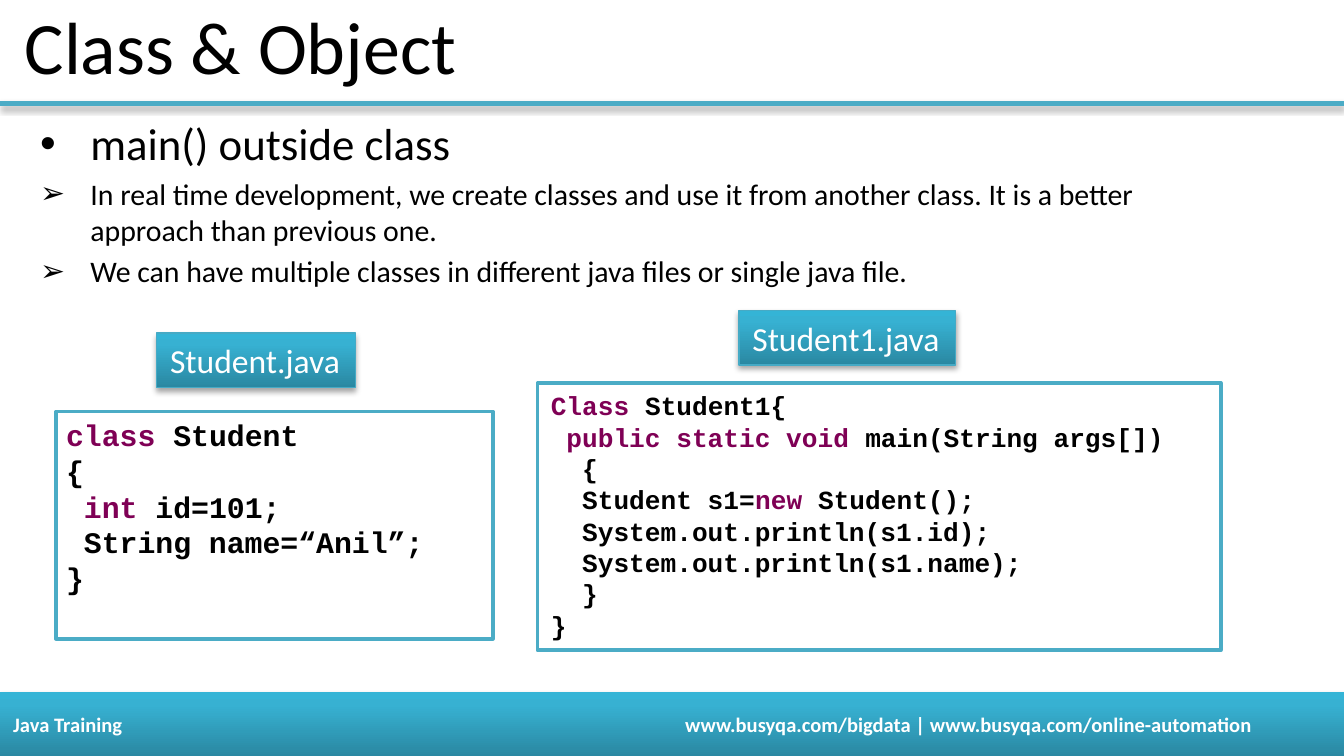
"""Build the "Class & Object" slide of a Java training deck."""
from copy import deepcopy

from lxml.etree import SubElement
from pptx import Presentation
from pptx.dml.color import RGBColor
from pptx.enum.shapes import MSO_CONNECTOR, MSO_SHAPE
from pptx.enum.text import MSO_ANCHOR as Anchor, PP_ALIGN as Align
from pptx.oxml.ns import qn
from pptx.util import Pt


def color(hex_code):
    return RGBColor.from_string(hex_code)


class SlideBuilder:
    BODY_FONT, CODE_FONT = "Calibri", "Courier New"
    BLACK, WHITE, ACCENT, EDGE, KEYWORD = "000000", "FFFFFF", "4BACC6", "46AAC5", "7F0055"
    GRADIENT = [(0, "2A88A2"), (0.8, "37B1D2"), (1, "34B4D6")]
    KEYWORDS = {"class", "Class", "int", "public static void", "new"}

    def __init__(self, deck):
        self.slide = deck.slides.add_slide(deck.slide_layouts[5])

    def add_run(self, paragraph, text, size, tint=BLACK, bold=False, face=BODY_FONT):
        run = paragraph.add_run()
        run.text = text
        font = run.font
        font.name, font.size, font.bold = face, Pt(size), bold
        font.color.rgb = color(tint)

    def add_shadow(self, element):
        effects = element.spPr.find(qn("a:effectLst"))
        if effects is None:
            effects = SubElement(element.spPr, qn("a:effectLst"))
        shadow = SubElement(effects, qn("a:outerShdw"), blurRad=str(Pt(3.1)),
                            dist=str(Pt(1.8)), dir="5400000", rotWithShape="0")
        tone = SubElement(shadow, qn("a:srgbClr"), val=self.BLACK)
        SubElement(tone, qn("a:alpha"), val="35000")

    def panel(self, left, top, width, height):
        shape = self.slide.shapes.add_shape(
            MSO_SHAPE.RECTANGLE, Pt(left), Pt(top), Pt(width), Pt(height))
        shape.shadow.inherit = False
        shape.text_frame.word_wrap = True
        shape.text_frame.paragraphs[0].alignment = Align.LEFT
        return shape

    def gradient_panel(self, *box):
        shape = self.panel(*box)
        shape.fill.gradient()
        shape.fill.gradient_angle = 90
        stop_list = shape._element.spPr.find(".//" + qn("a:gsLst"))
        stop_list.append(deepcopy(stop_list[-1]))
        for stop, (position, tint) in zip(shape.fill.gradient_stops, self.GRADIENT):
            stop.position = position
            stop.color.rgb = color(tint)
        self.add_shadow(shape._element)
        return shape

    def rule(self, y, width):
        line = self.slide.shapes.add_connector(
            MSO_CONNECTOR.STRAIGHT, Pt(0), Pt(y), Pt(width), Pt(y))
        line.line.color.rgb = color(self.ACCENT)
        line.line.width = Pt(3)
        self.add_shadow(line._element)

    def footer(self, course, links, *box):
        band = self.gradient_panel(*box)
        band.line.fill.background()
        band.text_frame.vertical_anchor = Anchor.MIDDLE
        paragraph = band.text_frame.paragraphs[0]
        tabs = SubElement(paragraph._p.get_or_add_pPr(), qn("a:tabLst"))
        SubElement(tabs, qn("a:tab"), pos=str(Pt(360)), algn="l")
        self.add_run(paragraph, f"{course}\t{links}", 11, self.WHITE, True)

    def title(self, text, left, top, width, height):
        heading = self.slide.shapes.title
        heading.left, heading.top = Pt(left), Pt(top)
        heading.width, heading.height = Pt(width), Pt(height)
        heading.text_frame.vertical_anchor = Anchor.MIDDLE
        paragraph = heading.text_frame.paragraphs[0]
        paragraph.alignment = Align.LEFT
        self.add_run(paragraph, text, 39.6)

    def bullets(self, points, left, top, width, height):
        frame = self.slide.shapes.add_textbox(
            Pt(left), Pt(top), Pt(width), Pt(height)).text_frame
        frame.word_wrap = True
        for index, (marker, size, text) in enumerate(points):
            paragraph = frame.add_paragraph() if index else frame.paragraphs[0]
            properties = paragraph._p.get_or_add_pPr()
            properties.set("marL", str(Pt(27)))
            properties.set("indent", str(Pt(-27)))
            SubElement(properties, qn("a:buFont"), typeface="Arial")
            SubElement(properties, qn("a:buChar"), char=marker)
            if index:
                paragraph.space_before = Pt(size * 0.2)
            self.add_run(paragraph, text, size)

    def code(self, lines, size, inset, *box):
        listing = self.panel(*box)
        listing.fill.solid()
        listing.fill.fore_color.rgb = color(self.WHITE)
        listing.line.color.rgb = color(self.ACCENT)
        listing.line.width = Pt(2)
        frame = listing.text_frame
        frame.vertical_anchor = Anchor.TOP
        frame.margin_left = frame.margin_right = Pt(inset)
        frame.margin_top = frame.margin_bottom = Pt(inset / 2)
        for index, pieces in enumerate(lines):
            paragraph = frame.add_paragraph() if index else frame.paragraphs[0]
            paragraph.alignment = Align.LEFT
            for piece in pieces:
                tint = self.KEYWORD if piece in self.KEYWORDS else self.BLACK
                self.add_run(paragraph, piece, size, tint, True, self.CODE_FONT)

    def file_tag(self, name, *box):
        tag = self.gradient_panel(*box)
        tag.line.color.rgb = color(self.EDGE)
        tag.line.width = Pt(0.75)
        tag.text_frame.word_wrap = False
        tag.text_frame.vertical_anchor = Anchor.TOP
        self.add_run(tag.text_frame.paragraphs[0], name, 18, self.WHITE)


POINTS = [
    ("•", 24, "main() outside class"),
    ("➢", 16, "In real time development, we create classes and use it from another class. "
              "It is a better approach than previous one."),
    ("➢", 16, "We can have multiple classes in different java files or single java file."),
]
STUDENT = [
    ["class", " Student"],
    ["{"],
    [" ", "int", " id=101;"],
    [" String name=“Anil”;"],
    ["}"],
]
STUDENT1 = [
    ["Class", " Student1{"],
    [" ", "public static void", " main(String args[])"],
    ["  {"],
    ["  Student s1=", "new", " Student();"],
    ["  System.out.println(s1.id);"],
    ["  System.out.println(s1.name);"],
    ["  }"],
    ["}"],
]


def main():
    deck = Presentation()
    deck.slide_width, deck.slide_height = Pt(720), Pt(405)
    page = SlideBuilder(deck)
    page.rule(55.5, 720)
    page.footer("Java Training", "www.busyqa.com/bigdata | www.busyqa.com/online-automation",
                0, 370.8, 720, 34.2)
    page.title("Class & Object", 6, 0, 648, 48)
    page.bullets(POINTS, 14.4, 58.5, 648, 102)
    page.code(STUDENT, 16, 5.4, 30, 220.5, 234, 121.7)
    page.code(STUDENT1, 14, 7.2, 288, 205.2, 366, 143.2)
    page.file_tag("Student.java", 84, 178.5, 106.5, 29)
    page.file_tag("Student1.java", 396, 166.5, 116, 29)
    deck.save("out.pptx")


if __name__ == "__main__":
    main()
